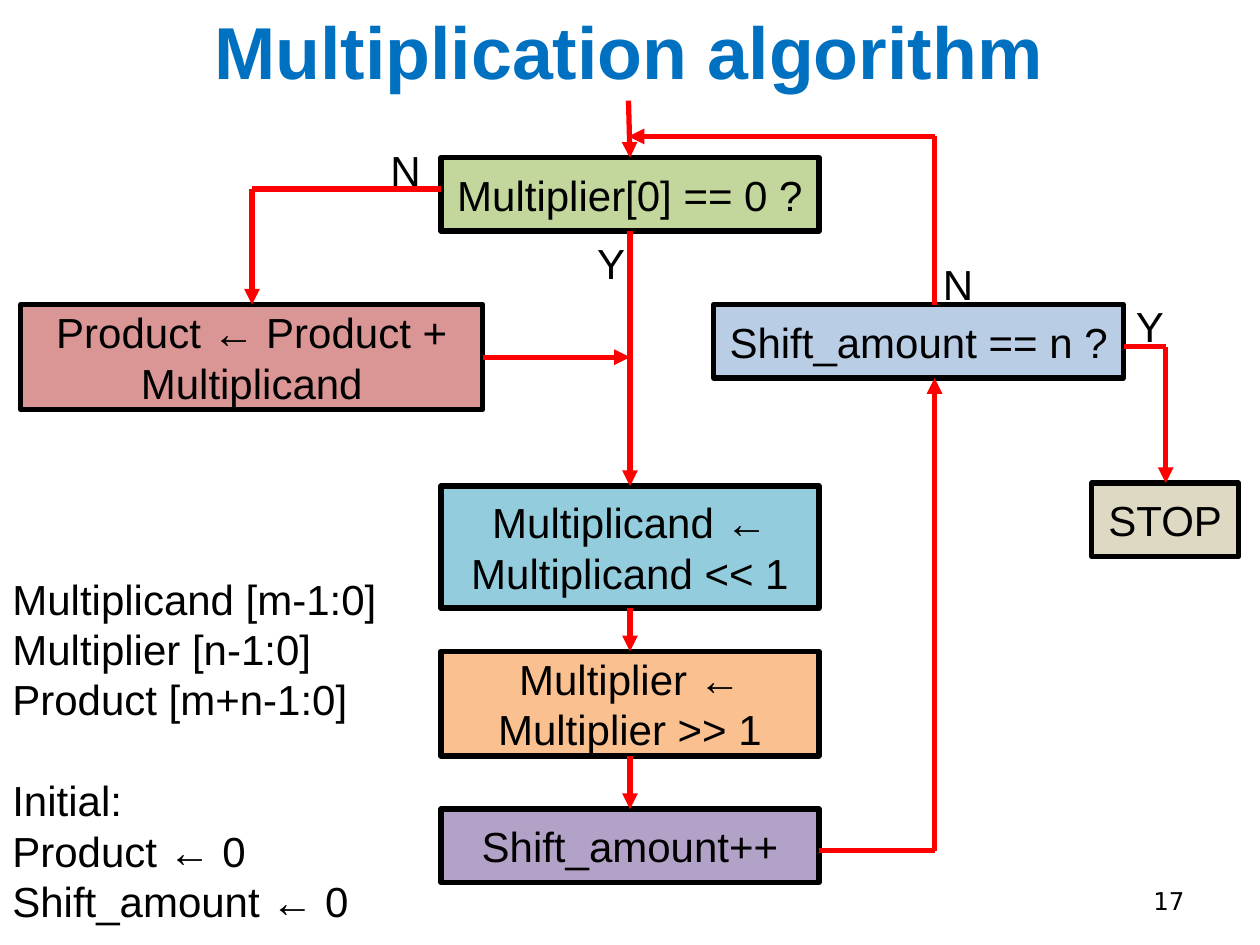
from dataclasses import dataclass
from itertools import pairwise

from lxml import etree
from pptx import Presentation
from pptx.dml.color import RGBColor
from pptx.enum.shapes import MSO_CONNECTOR as Connector, MSO_SHAPE as Shape
from pptx.enum.text import MSO_ANCHOR as Anchor, MSO_AUTO_SIZE as AutoSize, PP_ALIGN as Align
from pptx.oxml.ns import qn
from pptx.util import Cm, Pt


@dataclass(frozen=True)
class Theme:
    font: str = "Arial"
    number_font: str = "DejaVu Sans"
    ink: str = "000000"
    title: str = "0070C0"
    flow: str = "FF0000"
    green: str = "C3D69B"
    red: str = "D99694"
    cyan: str = "93CDDD"
    orange: str = "FAC090"
    purple: str = "B3A2C7"
    blue: str = "B9CDE5"
    sand: str = "DDD9C3"
    title_size: int = 42
    body_size: int = 24
    number_size: int = 14
    blank_line: float = 28.8
    line_width: int = 3


THEME = Theme()


def rgb(value):
    return RGBColor.from_string(value)


def apply(target, values):
    for name, value in values.items():
        setattr(target, name, value)


def write(shape, lines, align=Align.LEFT, anchor=Anchor.TOP, wrap=True,
          color=THEME.ink, **font):
    """Fill a shape with one paragraph per line."""
    frame = shape.text_frame
    apply(frame, {"word_wrap": wrap, "vertical_anchor": anchor})
    style = {"name": THEME.font, "size": Pt(THEME.body_size), "bold": False} | font
    for index, line in enumerate(lines):
        paragraph = frame.add_paragraph() if index else frame.paragraphs[0]
        paragraph.alignment = align
        run = paragraph.add_run()
        run.text = line
        apply(run.font, style)
        run.font.color.rgb = rgb(color)
    return frame


def add_text(slide, area, lines, **options):
    shape = slide.shapes.add_textbox(*map(Cm, area))
    return write(shape, lines, **options)


def add_label(slide, area, lines):
    frame = add_text(slide, area, lines, wrap=False)
    frame.auto_size = AutoSize.SHAPE_TO_FIT_TEXT
    return frame


def add_step(slide, area, text, color):
    shape = slide.shapes.add_shape(Shape.RECTANGLE, *map(Cm, area))
    shape.shadow.inherit = False
    shape.fill.solid()
    shape.fill.fore_color.rgb = rgb(color)
    shape.line.color.rgb = rgb(THEME.ink)
    shape.line.width = Pt(THEME.line_width)
    write(shape, [text], align=Align.CENTER, anchor=Anchor.MIDDLE)


def add_route(slide, *points):
    """Join the points with straight lines; the last one has an arrowhead."""
    for start, end in pairwise(points):
        line = slide.shapes.add_connector(Connector.STRAIGHT, *map(Cm, start + end))
        line.line.color.rgb = rgb(THEME.flow)
        line.line.width = Pt(THEME.line_width)
        properties = line._element.spPr
        etree.SubElement(properties, qn("a:effectLst"))
        if end == points[-1]:
            outline = properties.find(qn("a:ln"))
            etree.SubElement(outline, qn("a:tailEnd"), type="triangle")


def main():
    presentation = Presentation()
    apply(presentation, {"slide_width": Cm(25.4), "slide_height": Cm(19.05)})
    slide = presentation.slides.add_slide(presentation.slide_layouts[6])

    # Title and page number
    add_text(slide, (1.22, 0, 22.91, 2.03), ["Multiplication algorithm"],
             align=Align.CENTER, anchor=Anchor.MIDDLE, color=THEME.title,
             size=Pt(THEME.title_size), bold=True)
    add_text(slide, (18.21, 17.65, 5.92, 1.02), ["17"], align=Align.RIGHT,
             anchor=Anchor.MIDDLE, name=THEME.number_font, size=Pt(THEME.number_size))

    # Steps of the main column: top, height, text, fill
    left, width = 8.89, 7.62
    column = [
        (3.18, 1.48, "Multiplier[0] == 0 ?", THEME.green),
        (9.8, 2.46, "Multiplicand ← Multiplicand << 1", THEME.cyan),
        (13.13, 2.11, "Multiplier ← Multiplier >> 1", THEME.orange),
        (16.31, 1.48, "Shift_amount++", THEME.purple),
    ]
    for top, height, text, color in column:
        add_step(slide, (left, top, width, height), text, color)

    # Side steps
    add_step(slide, (0.42, 6.14, 9.31, 2.12), "Product ← Product + Multiplicand", THEME.red)
    add_step(slide, (14.39, 6.14, 8.26, 1.48), "Shift_amount == n ?", THEME.blue)
    add_step(slide, (22.01, 9.74, 2.96, 1.48), "STOP", THEME.sand)

    # Downward flow through the main column
    center, right = left + width / 2, left + width
    add_route(slide, (12.67, 2.03), (center, 3.18))
    for upper, lower in pairwise(column):
        add_route(slide, (center, upper[0] + upper[1]), (center, lower[0]))

    # Branches and the loop back
    loop = 18.84
    add_route(slide, (left, 3.81), (5.08, 3.81), (5.08, 6.14))
    add_route(slide, (9.73, 7.2), (center, 7.2))
    add_route(slide, (right, 17.15), (loop, 17.15), (loop, 7.62))
    add_route(slide, (loop, 6.14), (loop, 2.75), (12.67, 2.75))
    add_route(slide, (22.65, 6.99), (23.5, 6.99), (23.5, 9.74))

    # Register widths and initial values
    notes = add_label(slide, (0, 11.43, 7.92, 7.44), [
        "Multiplicand [m-1:0]", "Multiplier [n-1:0]", "Product [m+n-1:0]",
        "Initial:", "Product ← 0", "Shift_amount ← 0"])
    notes.paragraphs[3].space_before = Pt(THEME.blank_line)

    # Branch labels
    for text, x, y in [("N", 7.62, 2.79), ("Y", 11.79, 4.66),
                       ("Y", 22.65, 5.93), ("N", 18.76, 5.08)]:
        add_label(slide, (x, y, 1.12, 1.27), [text])

    presentation.save("out.pptx")


main()
